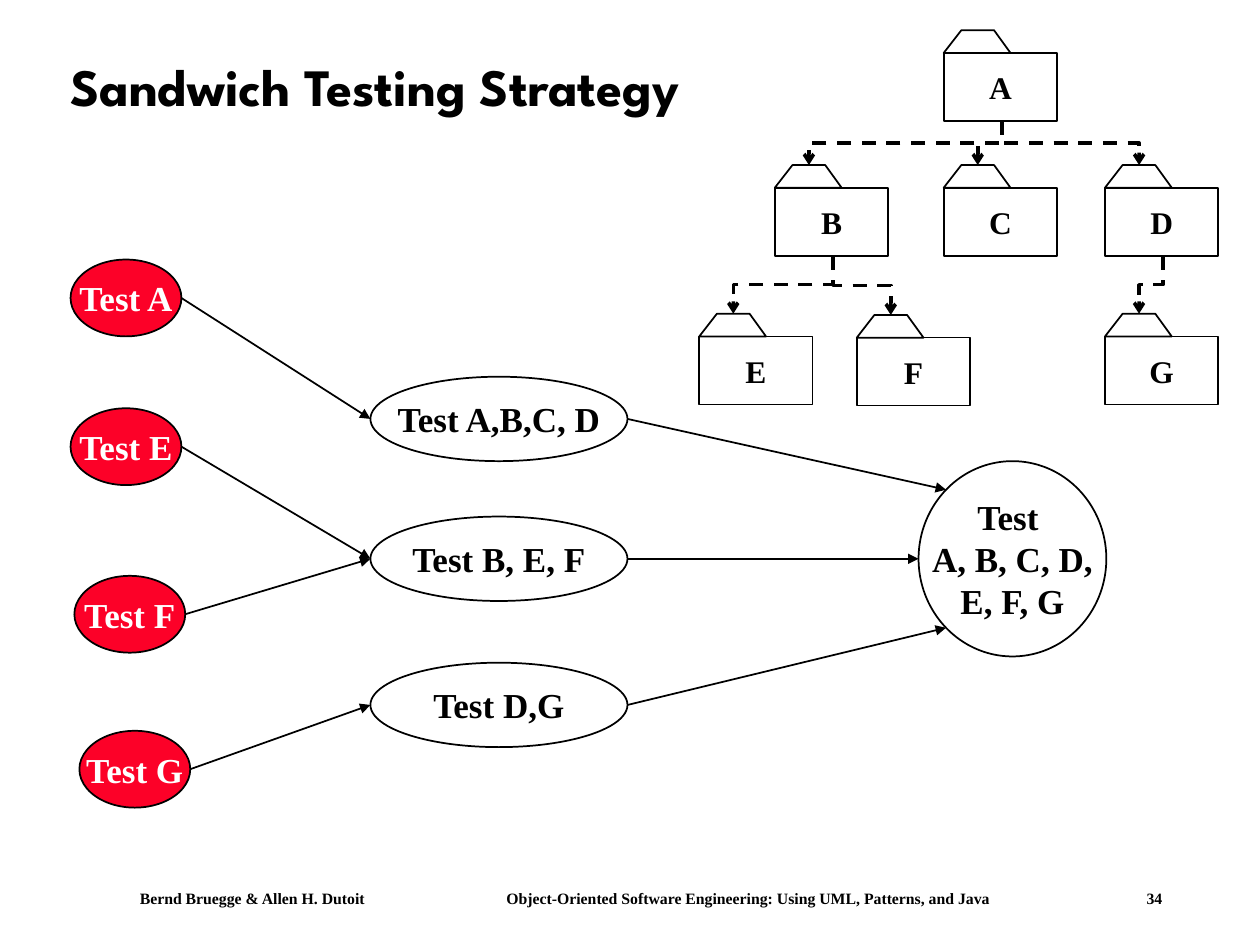
from dataclasses import dataclass
from math import cos, pi, sin

from pptx import Presentation
from pptx.dml.color import RGBColor
from pptx.enum.dml import MSO_LINE
from pptx.enum.shapes import MSO_CONNECTOR, MSO_SHAPE
from pptx.enum.text import MSO_ANCHOR, PP_ALIGN
from pptx.oxml.ns import qn
from pptx.util import Inches, Pt
from lxml.etree import SubElement


@dataclass(frozen=True)
class Theme:
    """Colours, fonts and sizes of the slide."""
    ink: RGBColor = RGBColor(0, 0, 0)
    paper: RGBColor = RGBColor(255, 255, 255)
    unit_test: RGBColor = RGBColor(0xFC, 0x01, 0x28)
    title_font: str = "League Spartan"
    body_font: str = "Times New Roman"
    title_size: int = 30
    test_size: int = 20
    package_size: int = 18
    footer_size: int = 9
    outline: int = 1
    dependency: int = 2


THEME = Theme()


@dataclass(frozen=True)
class Box:
    """A rectangle measured in inches."""
    left: float
    top: float
    width: float
    height: float

    def emu(self):
        """Return the rectangle as four lengths."""
        return [Inches(v) for v in (self.left, self.top, self.width, self.height)]

    def inner(self, left, top, width, height):
        """Return a box placed relative to this one."""
        return Box(self.left + left, self.top + top, width, height)

    def rim(self, degrees):
        """Return the point of the inscribed ellipse at an angle."""
        angle = degrees * pi / 180
        return (self.left + self.width / 2 * (1 + cos(angle)),
                self.top + self.height / 2 * (1 + sin(angle)))


def add_span(para, text, size, color=THEME.ink, font=THEME.body_font):
    """Add one bold run to a paragraph."""
    span = para.add_run()
    span.text = text
    span.font.name, span.font.size, span.font.bold = font, Pt(size), True
    span.font.color.rgb = color


def add_node(page, kind, box, lines, size, fill=None, color=THEME.ink):
    """Add an outlined preset shape with centred lines of text."""
    shape = page.shapes.add_shape(kind, *box.emu())
    paint(shape, fill)
    frame = shape.text_frame
    frame.word_wrap = False
    frame.vertical_anchor = MSO_ANCHOR.MIDDLE
    for index, text in enumerate(lines):
        para = frame.add_paragraph() if index else frame.paragraphs[0]
        para.alignment = PP_ALIGN.CENTER
        add_span(para, text, size, color)


def paint(shape, fill):
    """Set the fill and outline of a shape and drop its shadow."""
    shape.shadow.inherit = False
    if fill is None:
        shape.fill.background()
    else:
        shape.fill.solid()
        shape.fill.fore_color.rgb = fill
    shape.line.color.rgb = THEME.ink
    shape.line.width = Pt(THEME.outline)


def add_arrow(page, kind, start, end, width, head):
    """Add a connector with an arrowhead at its end."""
    arrow = page.shapes.add_connector(kind, *[Inches(v) for v in (*start, *end)])
    arrow.line.color.rgb = THEME.ink
    arrow.line.width = Pt(width)
    SubElement(arrow.line._get_or_add_ln(), qn("a:tailEnd"), type=head)
    SubElement(arrow.element.spPr, qn("a:effectLst"))
    return arrow


def add_dependency(page, start, end):
    """Add a dashed elbow that leaves downward, crosses and arrives downward."""
    (x1, y1), (x2, y2) = start, end
    center_x, center_y = (x1 + x2) / 2, (y1 + y2) / 2
    half_run, half_rise = (y2 - y1) / 2, abs(x2 - x1) / 2
    side = 1 if x2 < x1 else -1
    arrow = add_arrow(page, MSO_CONNECTOR.ELBOW,
                      (center_x - side * half_run, center_y - half_rise),
                      (center_x + side * half_run, center_y + half_rise),
                      THEME.dependency, "arrow")
    arrow.line.dash_style = MSO_LINE.DASH
    arrow.element.spPr.find(qn("a:xfrm")).set("rot", str((90 if side > 0 else 270) * 60000))


def add_package(page, box, name):
    """Add a package: a named body under a sloping tab."""
    tab = 0.18
    body = box.inner(0, tab, box.width, box.height - tab)
    add_node(page, MSO_SHAPE.RECTANGLE, body, [name], THEME.package_size, THEME.paper)
    corners = [(Inches(box.left + x), Inches(box.top + y))
               for x, y in ((0, tab), (0.14, 0), (0.4, 0), (0.53, tab))]
    outline = page.shapes.build_freeform(*corners[0])
    outline.add_line_segments(corners[1:], close=True)
    paint(outline.convert_to_shape(), THEME.paper)


def add_package_tree(page, box):
    """Add the package hierarchy with its dependencies."""
    spots = {"A": (1.94, 0), "E": (0, 2.25), "F": (1.25, 2.26), "B": (0.6, 1.07),
             "C": (1.94, 1.07), "D": (3.22, 1.07), "G": (3.22, 2.25)}
    packages = {name: box.inner(x, y, 0.9, 0.72) for name, (x, y) in spots.items()}
    for parent, child in ("AB", "BE", "BF", "DG", "AC", "AD"):
        source, target = packages[parent], packages[child]
        add_dependency(page, (source.left + source.width / 2 + 0.01, source.top + source.height),
                       (target.left + 0.27, target.top))
    for name, package in packages.items():
        add_package(page, package, name)


def add_test_flow(page, box):
    """Add the unit, layer and full tests joined by arrows."""
    units = {"A": (0, 0), "E": (0, 1.18), "F": (0.03, 2.51), "G": (0.07, 3.74)}
    layers = {"A,B,C, D": (0.93, "A", 225), "B, E, F": (2.04, "EF", 180),
              "D,G": (3.2, "G", 135)}
    full = box.inner(6.73, 1.6, 1.49, 1.55)
    add_node(page, MSO_SHAPE.OVAL, full, ["Test ", "A, B, C, D,", "E, F, G"], THEME.test_size)
    unit_boxes = {name: box.inner(x, y, 0.88, 0.61) for name, (x, y) in units.items()}
    for name, unit in unit_boxes.items():
        add_node(page, MSO_SHAPE.OVAL, unit, [f"Test {name}"], THEME.test_size,
                 THEME.unit_test, THEME.paper)
    for name, (top, sources, angle) in layers.items():
        layer = box.inner(2.38, top, 2.04, 0.67)
        add_node(page, MSO_SHAPE.OVAL, layer, [f"Test {name}"], THEME.test_size)
        links = [(unit_boxes[source].rim(0), layer.rim(180)) for source in sources]
        for start, end in [*links, (layer.rim(0), full.rim(angle))]:
            add_arrow(page, MSO_CONNECTOR.STRAIGHT, start, end, THEME.outline, "triangle")


def add_text_box(page, box):
    """Add a wrapping, middle-anchored text box and return its frame."""
    frame = page.shapes.add_textbox(*box.emu()).text_frame
    frame.word_wrap = True
    frame.vertical_anchor = MSO_ANCHOR.MIDDLE
    return frame


def add_title(page, box):
    """Add the slide title."""
    para = add_text_box(page, box).paragraphs[0]
    para.line_spacing = 0.9
    add_span(para, "Sandwich Testing Strategy", THEME.title_size, font=THEME.title_font)


def add_footer(page, box):
    """Add authors, book title and page number on one tabbed line."""
    frame = add_text_box(page, box)
    frame.margin_left = frame.margin_right = frame.margin_top = frame.margin_bottom = 0
    para = frame.paragraphs[0]
    stops = SubElement(para._p.get_or_add_pPr(), qn("a:tabLst"))
    for stop in (2.91, 7.99):
        SubElement(stops, qn("a:tab"), pos=str(Inches(stop)), algn="l")
    for text in ("Bernd Bruegge & Allen H. Dutoit\t",
                 "Object-Oriented Software Engineering: Using UML, Patterns, and Java\t", "34"):
        add_span(para, text, THEME.footer_size)


def main():
    """Build and save the slide."""
    deck = Presentation()
    deck.slide_width, deck.slide_height = Inches(10), Inches(7.5)
    page = deck.slides.add_slide(deck.slide_layouts[6])
    add_footer(page, Box(1.11, 7, 8.64, 0.25))
    add_title(page, Box(0.46, 0.24, 8.92, 0.94))
    add_test_flow(page, Box(0.56, 2.06, 8.22, 4.35))
    add_package_tree(page, Box(5.55, 0.24, 4.12, 2.98))
    deck.save("out.pptx")


if __name__ == "__main__":
    main()
